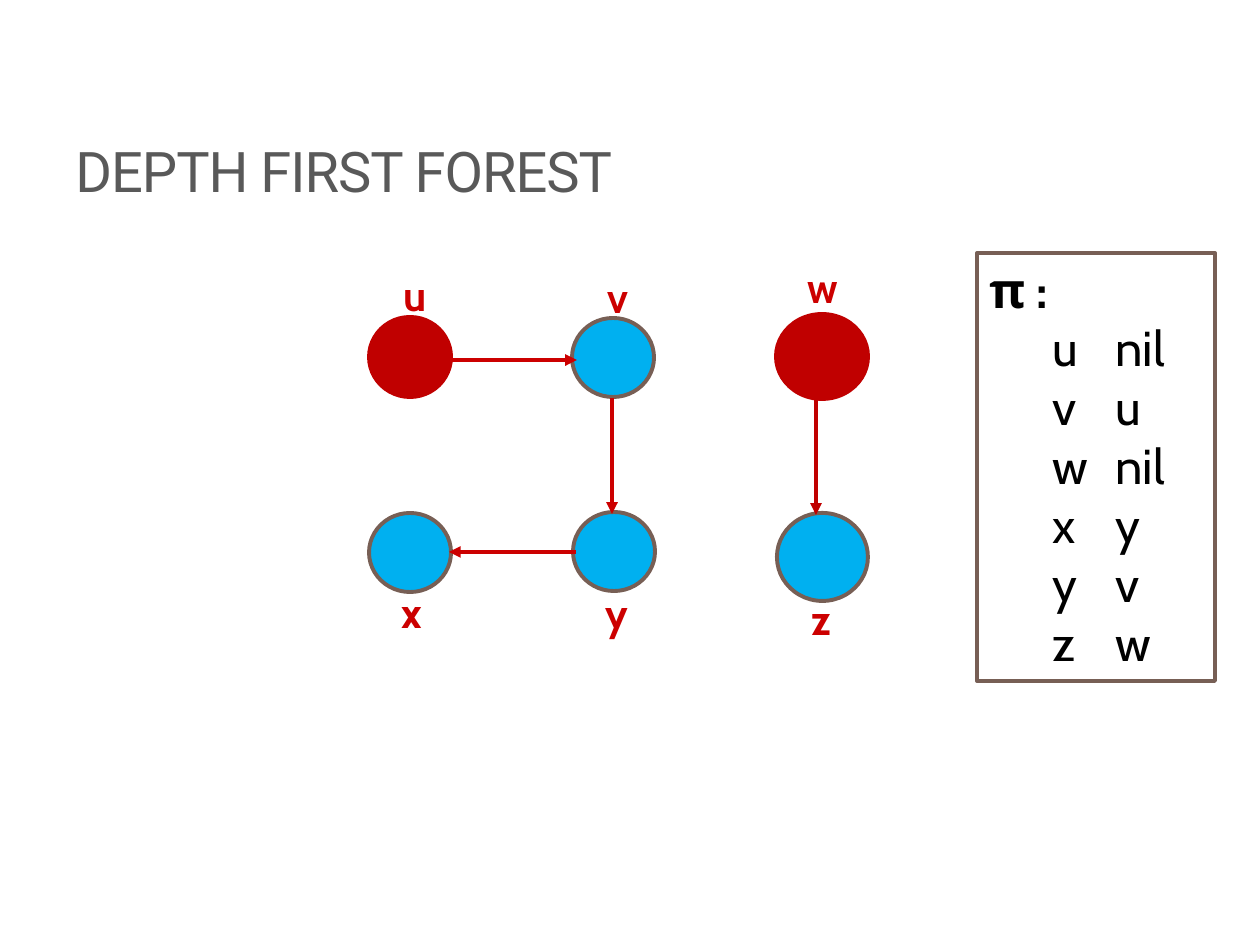
"""Build the depth first forest slide with its predecessor list."""
from dataclasses import dataclass

import lxml.etree
import pptx
import pptx.dml.color
import pptx.enum.shapes
import pptx.enum.text
import pptx.oxml.ns
import pptx.util

PX = 914400 / 126
FONT = "Cabin"
RED = pptx.dml.color.RGBColor(0xC0, 0x00, 0x00)
BRIGHT_RED = pptx.dml.color.RGBColor(0xCC, 0x00, 0x00)
BLUE = pptx.dml.color.RGBColor(0x00, 0xB0, 0xF0)
BROWN = pptx.dml.color.RGBColor(0x77, 0x5F, 0x55)
GRAY = pptx.dml.color.RGBColor(0x59, 0x59, 0x59)
BLACK = pptx.dml.color.RGBColor(0x00, 0x00, 0x00)
LINE_WIDTH = pptx.util.Pt(2.25)


@dataclass
class Node:
    name: str
    box: tuple[int, int, int, int]
    label: tuple[int, int, int, int]
    parent: str = "nil"


@dataclass
class Edge:
    start: tuple[int, int]
    end: tuple[int, int]
    color: pptx.dml.color.RGBColor = BRIGHT_RED


NODES = [
    Node("u", (369, 317, 82, 80), (391, 263, 48, 63)),
    Node("v", (572, 318, 82, 79), (595, 265, 47, 63), "u"),
    Node("w", (776, 314, 92, 85), (795, 255, 57, 63)),
    Node("x", (369, 513, 82, 79), (389, 580, 45, 63), "y"),
    Node("y", (573, 512, 82, 79), (593, 581, 47, 63), "v"),
    Node("z", (777, 513, 91, 88), (799, 587, 43, 63), "w"),
]
EDGES = [
    Edge((450, 360), (577, 360)),
    Edge((612, 398), (612, 514)),
    Edge((576, 552), (449, 552)),
    Edge((816, 399), (816, 515), RED),
]


def px(n: int) -> pptx.util.Emu:
    return pptx.util.Emu(round(n * PX))


def style(p, size: int, color, bold: bool = False, name: str = FONT) -> None:
    for r in p.runs:
        r.font.size = pptx.util.Pt(size)
        r.font.name = name
        r.font.bold = bold
        r.font.color.rgb = color


def add_text(s, box: tuple[int, int, int, int], text: str):
    tf = s.shapes.add_textbox(*map(px, box)).text_frame
    tf.word_wrap = False
    tf.text = text
    return tf


def add_outlined(s, kind, box: tuple[int, int, int, int], line):
    sp = s.shapes.add_shape(kind, *map(px, box))
    sp.shadow.inherit = False
    sp.line.color.rgb = line
    sp.line.width = LINE_WIDTH
    return sp


def add_title(s) -> None:
    tf = add_text(s, (63, 21, 1050, 189), "DEPTH FIRST FOREST")
    tf.word_wrap = True
    tf.vertical_anchor = pptx.enum.text.MSO_ANCHOR.BOTTOM
    p = tf.paragraphs[0]
    style(p, 32, GRAY, name="Roboto")
    p.runs[0].font._element.set("spc", "-60")


def add_node(s, node: Node) -> None:
    root = node.parent == "nil"
    sp = add_outlined(s, pptx.enum.shapes.MSO_SHAPE.OVAL, node.box, RED if root else BROWN)
    sp.fill.solid()
    sp.fill.fore_color.rgb = RED if root else BLUE


def add_label(s, node: Node) -> None:
    style(add_text(s, node.label, node.name).paragraphs[0], 24, BRIGHT_RED, True)


def add_edge(s, edge: Edge) -> None:
    kind = pptx.enum.shapes.MSO_CONNECTOR.STRAIGHT
    c = s.shapes.add_connector(kind, *map(px, edge.start + edge.end))
    c.line.color.rgb = edge.color
    c.line.width = LINE_WIDTH
    qn = pptx.oxml.ns.qn
    lxml.etree.SubElement(c.line._get_or_add_ln(), qn("a:tailEnd"), type="triangle")
    lxml.etree.SubElement(c._element.spPr, qn("a:effectLst"))


def add_predecessors(s) -> None:
    sp = add_outlined(s, pptx.enum.shapes.MSO_SHAPE.RECTANGLE, (977, 253, 238, 428), BROWN)
    sp.fill.background()
    tf = sp.text_frame
    tf.word_wrap = True
    tf.vertical_anchor = pptx.enum.text.MSO_ANCHOR.TOP
    p = tf.paragraphs[0]
    p.text = "π :"
    p.alignment = pptx.enum.text.PP_ALIGN.LEFT
    style(p, 28, BLACK, True)
    qn = pptx.oxml.ns.qn
    for node in NODES:
        p = tf.add_paragraph()
        p.text = f"{node.name}\t{node.parent}"
        p.level = 1
        p.alignment = pptx.enum.text.PP_ALIGN.LEFT
        pPr = p._p.get_or_add_pPr()
        pPr.set("marL", str(px(63)))
        pPr.set("indent", "0")
        tabs = lxml.etree.SubElement(pPr, qn("a:tabLst"))
        lxml.etree.SubElement(tabs, qn("a:tab"), pos=str(px(151)), algn="l")
        style(p, 28, BLACK)


def main() -> None:
    prs = pptx.Presentation()
    prs.slide_width, prs.slide_height = px(1260), px(945)
    s = prs.slides.add_slide(prs.slide_layouts[6])
    add_title(s)
    for node in NODES:
        add_node(s, node)
    for edge in EDGES:
        add_edge(s, edge)
    for node in NODES:
        add_label(s, node)
    add_predecessors(s)
    prs.save("out.pptx")


if __name__ == "__main__":
    main()
